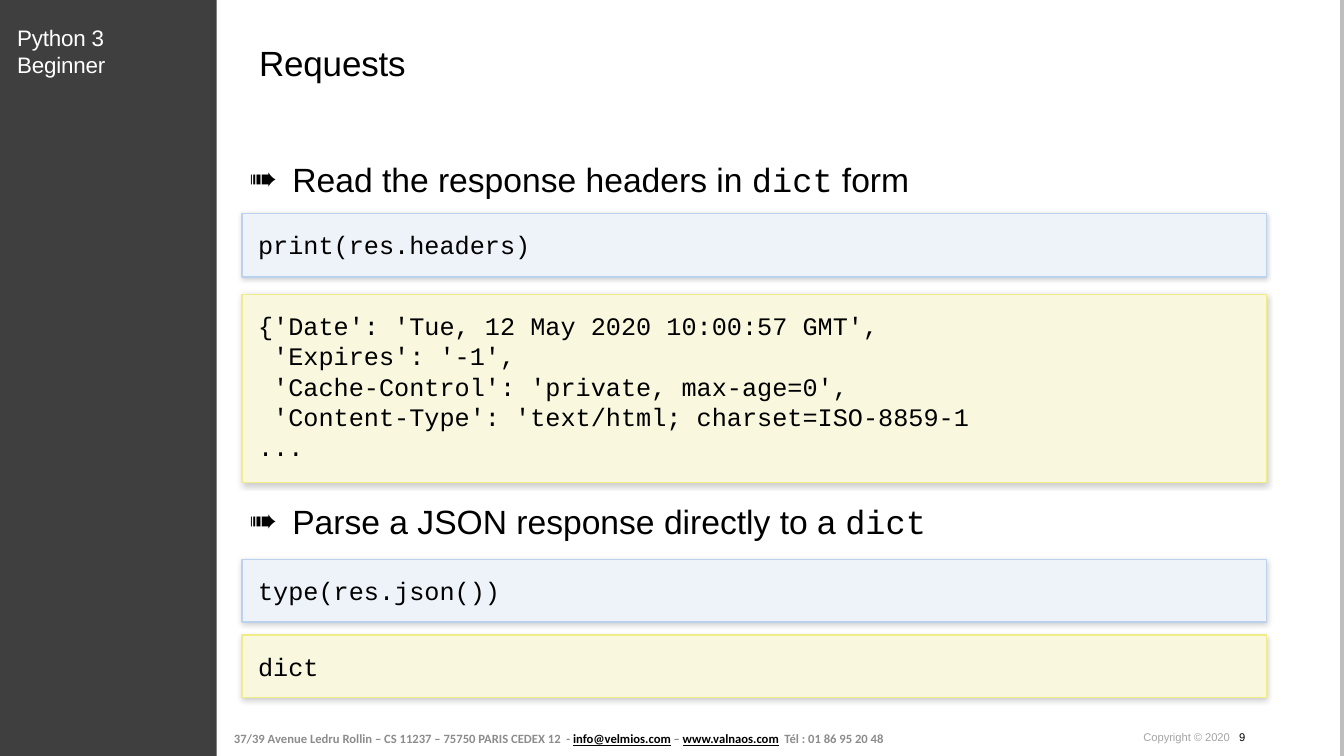
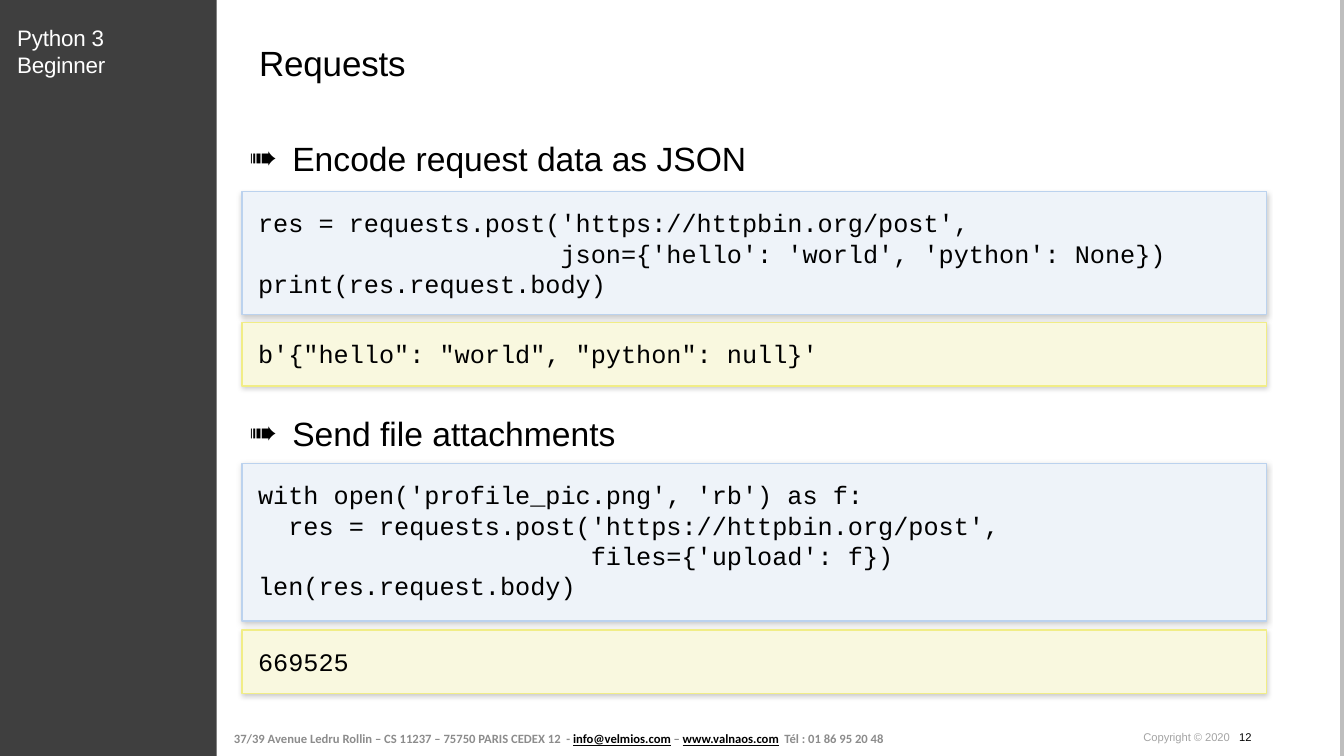
from lxml import etree
from pptx import Presentation
from pptx.dml.color import RGBColor
from pptx.enum.shapes import MSO_CONNECTOR, MSO_SHAPE
from pptx.enum.text import MSO_ANCHOR, MSO_AUTO_SIZE, PP_ALIGN
from pptx.oxml import parse_xml
from pptx.oxml.ns import nsdecls, qn
from pptx.util import Inches, Pt

COLORS = {
    "band": "3F3F3F", "edge": "BEBEBE", "white": "FFFFFF", "black": "000000",
    "footer": "8C8C8C", "copyright": "A4A4A4",
}
BOX_COLORS = {"code": ("EEF3F9", "BBD2EE"), "output": ("F9F8DF", "F1ED86")}
SANS, MONO, FOOTER_FONT = "Arial", "Courier New", "Calibri"
WIDTH, HEIGHT = Inches(13.33), Inches(7.5)
BAND_WIDTH = Inches(2.15)
BOX_LEFT, BOX_WIDTH, BOX_INSET = Inches(2.4), Inches(10.16), Inches(0.16)
BULLET_LEFT, BULLET_WIDTH, BULLET_HEIGHT = Inches(2.47), Inches(10), Inches(0.4)
BULLET_INDENT = Inches(0.43)

FOOTER = [
    ("37/39 Avenue Ledru Rollin – CS 11237 – 75750 PARIS CEDEX 12  - ", False),
    ("info@velmios.com", True),
    (" – ", False),
    ("www.valnaos.com", True),
    ("  Tél : 01 86 95 20 48", False),
]

SLIDES = [
    {
        "number": "9",
        "bullets": [
            (1.58, [("Read the response headers in ", SANS), ("dict", MONO), (" form", SANS)]),
            (4.97, [("Parse a JSON response directly to a ", SANS), ("dict", MONO)]),
        ],
        "boxes": [
            ("code", 2.12, 0.63, ["print(res.headers)"]),
            ("output", 2.92, 1.87, [
                "{'Date': 'Tue, 12 May 2020 10:00:57 GMT',",
                " 'Expires': '-1',",
                " 'Cache-Control': 'private, max-age=0',",
                " 'Content-Type': 'text/html; charset=ISO-8859-1",
                "...",
            ]),
            ("code", 5.55, 0.62, ["type(res.json())"]),
            ("output", 6.3, 0.62, ["dict"]),
        ],
    },
    {
        "number": "12",
        "bullets": [
            (1.37, [("Encode request data as JSON", SANS)]),
            (4.1, [("Send file attachments", SANS)]),
        ],
        "boxes": [
            ("code", 1.9, 1.22, [
                "res = requests.post('https://httpbin.org/post',",
                "                    json={'hello': 'world', 'python': None})",
                "print(res.request.body)",
            ]),
            ("output", 3.2, 0.63, ["b'{\"hello\": \"world\", \"python\": null}'"]),
            ("code", 4.6, 1.56, [
                "with open('profile_pic.png', 'rb') as f:",
                "  res = requests.post('https://httpbin.org/post',",
                "                      files={'upload': f})",
                "len(res.request.body)",
            ]),
            ("output", 6.25, 0.63, ["669525"]),
        ],
    },
]


def set_frame(shape, inset=0, anchor=MSO_ANCHOR.TOP):
    frame = shape.text_frame
    frame.word_wrap = True
    frame.auto_size = MSO_AUTO_SIZE.NONE
    frame.vertical_anchor = anchor
    frame.margin_left = frame.margin_right = inset
    frame.margin_top = frame.margin_bottom = inset
    return frame


def add_run(paragraph, text, size, font=SANS, color=COLORS["black"], spacing=0):
    run = paragraph.add_run()
    run.text = text
    run.font.size, run.font.name = Pt(size), font
    run.font.color.rgb = RGBColor.from_string(color)
    if spacing:
        run.font._element.set("spc", str(spacing))
    return run


presentation = Presentation()
presentation.slide_width, presentation.slide_height = WIDTH, HEIGHT
title_only = presentation.slide_layouts[5]

for content in SLIDES:
    slide = presentation.slides.add_slide(title_only)
    shapes = slide.shapes

    edge = shapes.add_connector(MSO_CONNECTOR.STRAIGHT, Inches(13.31), 0, Inches(13.31), HEIGHT)
    edge.line.color.rgb = RGBColor.from_string(COLORS["edge"])
    edge.line.width = Pt(3.34)
    etree.SubElement(edge._element.spPr, qn("a:effectLst"))

    band = shapes.add_shape(MSO_SHAPE.RECTANGLE, 0, 0, BAND_WIDTH, HEIGHT)
    band.shadow.inherit = False
    band.fill.solid()
    band.fill.fore_color.rgb = RGBColor.from_string(COLORS["band"])
    band.line.fill.background()

    course = shapes.add_textbox(Inches(0.17), Inches(0.24), Inches(1.1), Inches(0.54))
    add_run(set_frame(course).paragraphs[0], "Python 3 Beginner", 16, color=COLORS["white"], spacing=-10)

    title = shapes.title
    title.left, title.top = Inches(2.57), Inches(0.41)
    title.width, title.height = Inches(9.91), Inches(0.42)
    heading = set_frame(title).paragraphs[0]
    heading.alignment = PP_ALIGN.LEFT
    add_run(heading, "Requests", 25, spacing=-10)

    footer = shapes.add_textbox(Inches(2.25), Inches(7.17), Inches(6.68), Inches(0.32))
    address = set_frame(footer, Inches(0.07), MSO_ANCHOR.MIDDLE).paragraphs[0]
    for text, is_contact in FOOTER:
        color = COLORS["black" if is_contact else "footer"]
        run = add_run(address, text, 9, FOOTER_FONT, color)
        run.font.bold, run.font.underline = True, is_contact

    rights = shapes.add_textbox(Inches(11.34), Inches(7.25), Inches(1.71), Inches(0.13))
    notice = set_frame(rights).paragraphs[0]
    add_run(notice, "Copyright © 2020   ", 8, color=COLORS["copyright"], spacing=-5)
    add_run(notice, content["number"], 8)

    for kind, top, height, lines in content["boxes"]:
        fill, border = BOX_COLORS[kind]
        box = shapes.add_shape(MSO_SHAPE.RECTANGLE, BOX_LEFT, Inches(top), BOX_WIDTH, Inches(height))
        box.fill.solid()
        box.fill.fore_color.rgb = RGBColor.from_string(fill)
        box.line.color.rgb = RGBColor.from_string(border)
        box.line.width = Pt(1)
        box._element.spPr.append(parse_xml(
            f'<a:effectLst {nsdecls("a")}>'
            f'<a:outerShdw blurRad="{Pt(4)}" dist="{Pt(1)}" dir="5400000" rotWithShape="0">'
            '<a:srgbClr val="000000"><a:alpha val="20000"/></a:srgbClr>'
            '</a:outerShdw></a:effectLst>'))
        frame = set_frame(box, BOX_INSET)
        for index, line in enumerate(lines):
            paragraph = frame.add_paragraph() if index else frame.paragraphs[0]
            paragraph.alignment = PP_ALIGN.LEFT
            add_run(paragraph, line, 18, MONO)

    for top, pieces in content["bullets"]:
        bullet = shapes.add_textbox(BULLET_LEFT, Inches(top), BULLET_WIDTH, BULLET_HEIGHT)
        paragraph = set_frame(bullet).paragraphs[0]
        properties = paragraph._p.get_or_add_pPr()
        properties.set("marL", str(BULLET_INDENT))
        properties.set("indent", str(-BULLET_INDENT))
        etree.SubElement(properties, qn("a:buFont")).set("typeface", SANS)
        etree.SubElement(properties, qn("a:buChar")).set("char", "➠")
        for text, font in pieces:
            add_run(paragraph, text, 24, font)

presentation.save("out.pptx")
